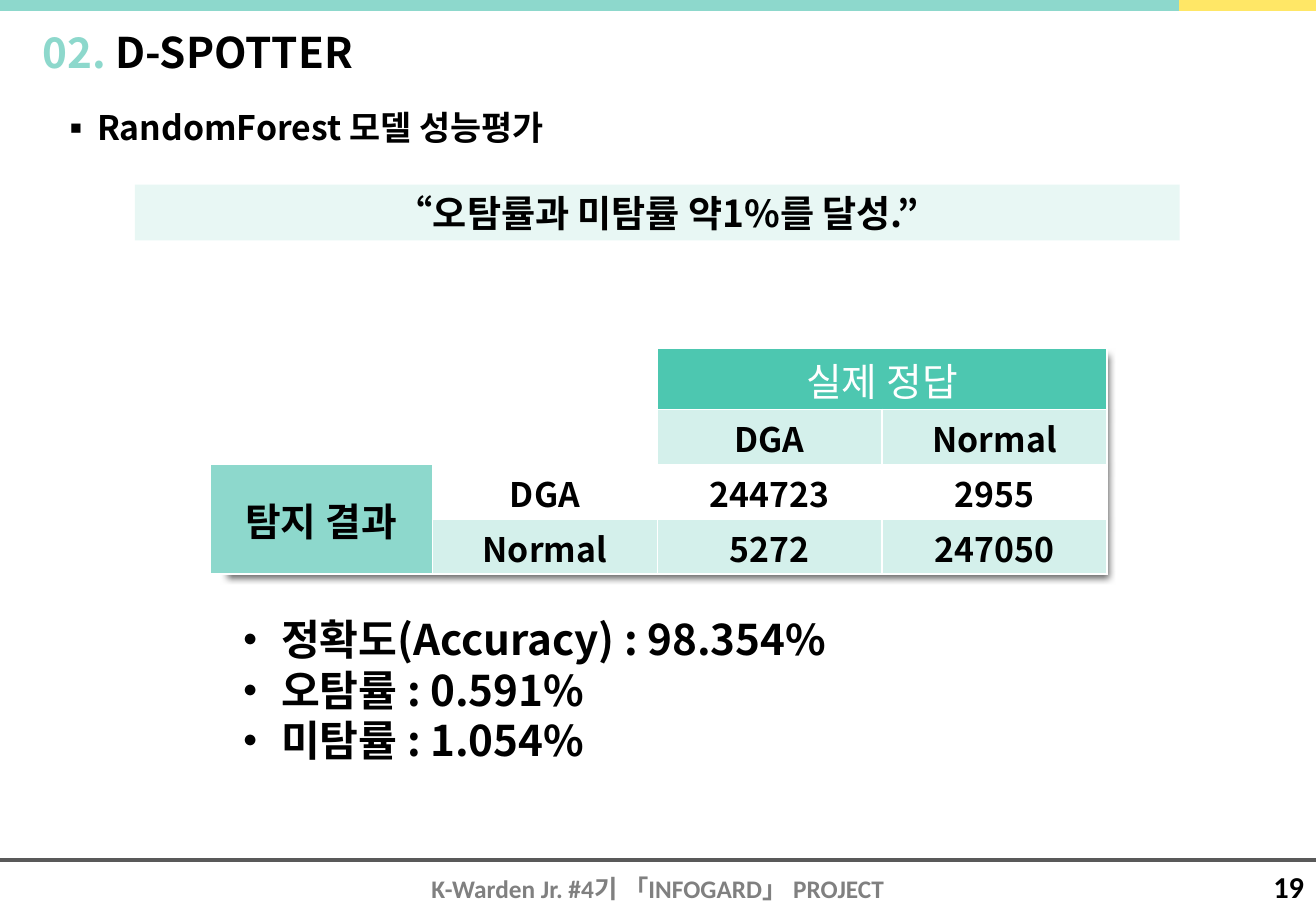
from lxml import etree
from pptx import Presentation
from pptx import util as u
from pptx.dml.color import RGBColor
from pptx.enum import shapes, text
from pptx.oxml import parse_xml
from pptx.oxml import ns

Cm, Pt = u.Cm, u.Pt
COLORS = {
    "mint": "8DD8CC", "teal": "4DC7B0", "pale": "D4F0EB", "yellow": "FFE766",
    "rule": "595959", "gray": "808080", "black": "000000", "white": "FFFFFF",
}
SANS, FOOTER_FONT = "Noto Sans CJK KR", "Calibri"
LEFT, CENTER, JUSTIFY = text.PP_ALIGN.LEFT, text.PP_ALIGN.CENTER, text.PP_ALIGN.JUSTIFY
TOP, MIDDLE = text.MSO_ANCHOR.TOP, text.MSO_ANCHOR.MIDDLE
NS = ns.nsdecls("a")


def rgb(name):
    return RGBColor.from_string(COLORS[name])


def set_attrs(obj, values):
    for name, value in values.items():
        setattr(obj, name, value)


def write_runs(p, runs, size, align, font=SANS, bold=True):
    p.alignment = align
    if font == SANS:
        p.line_spacing = Pt(size * 1.2)
    for content, color in runs:
        r = p.add_run()
        r.text = content
        set_attrs(r.font, {"name": font, "size": Pt(size), "bold": bold})
        r.font.color.rgb = rgb(color)
        if font == SANS:
            ea = etree.SubElement(r.font._element, ns.qn("a:ea"))
            ea.set("typeface", font)


def fill_frame(tf, lines, size, align, font=SANS, anchor=TOP):
    set_attrs(tf, {"word_wrap": True, "vertical_anchor": anchor})
    for i, runs in enumerate(lines):
        p = tf.add_paragraph() if i else tf.paragraphs[0]
        write_runs(p, runs, size, align, font)


def add_text(s, box, lines, size, align, font=SANS):
    tf = s.shapes.add_textbox(*map(Cm, box)).text_frame
    fill_frame(tf, lines, size, align, font)
    return tf


def add_bullet(p):
    pPr = p._p.get_or_add_pPr()
    indent = Cm(0.79)
    pPr.set("marL", str(indent))
    pPr.set("indent", str(-indent))
    pPr.append(parse_xml(f'<a:buFont {NS} typeface="{SANS}"/>'))
    pPr.append(parse_xml(f'<a:buChar {NS} char="▪"/>'))


def add_rule(s, x1, x2, y, color, width):
    line = s.shapes.add_connector(
        shapes.MSO_CONNECTOR.STRAIGHT, Cm(x1), Cm(y), Cm(x2), Cm(y))
    line.line.color.rgb = rgb(color)
    line.line.width = Pt(width)
    line._element.spPr.append(parse_xml(f"<a:effectLst {NS}/>"))


def add_banner(s, box, content):
    sp = s.shapes.add_shape(shapes.MSO_SHAPE.RECTANGLE, *map(Cm, box))
    sp.shadow.inherit = False
    sp.line.fill.background()
    sp.fill.solid()
    sp.fill.fore_color.rgb = rgb("mint")
    color = sp._element.spPr.find(".//" + ns.qn("a:srgbClr"))
    color.append(parse_xml(f'<a:alpha {NS} val="20000"/>'))
    fill_frame(sp.text_frame, [[(content, "black")]], 22, CENTER, anchor=MIDDLE)


def format_cell(cell, content, fill, size, color, bold):
    set_attrs(cell, {
        "margin_left": Cm(0.3), "margin_right": Cm(0.3),
        "margin_top": Cm(0.25), "margin_bottom": Cm(0.02),
        "vertical_anchor": MIDDLE,
    })
    tcPr = cell._tc.get_or_add_tcPr()
    for side in ("lnL", "lnR", "lnT", "lnB"):
        tcPr.append(parse_xml(
            f'<a:{side} {NS} w="12700"><a:solidFill><a:srgbClr val="{COLORS["white"]}"/>'
            f"</a:solidFill></a:{side}>"))
    cell.fill.solid()
    cell.fill.fore_color.rgb = rgb(fill)
    if content:
        write_runs(cell.text_frame.paragraphs[0], [(content, color)], size, CENTER, bold=bold)


def add_confusion_matrix(s):
    rows = [
        ["", "", "실제 정답", ""],
        ["", "", "DGA", "Normal"],
        ["탐지 결과", "DGA", "244723", "2955"],
        ["", "Normal", "5272", "247050"],
    ]
    widths, heights = [4.65, 4.7, 4.7, 4.7], [1.27, 1.15, 1.15, 1.15]
    table = s.shapes.add_table(
        4, 4, Cm(4.39), Cm(7.29), Cm(sum(widths)), Cm(sum(heights))).table
    set_attrs(table, {"first_row": False, "horz_banding": False})
    for column, width in zip(table.columns, widths):
        column.width = Cm(width)
    for row, height in zip(table.rows, heights):
        row.height = Cm(height)
    table.cell(0, 2).merge(table.cell(0, 3))
    table.cell(2, 0).merge(table.cell(3, 0))
    for i, row in enumerate(rows):
        for j, content in enumerate(row):
            fill, size, color, bold = "white", 20, "black", True
            if i == 0 and j > 1:
                fill, size, color, bold = "teal", 23, "white", False
            elif i > 1 and j == 0:
                fill, size = "mint", 23
            elif (i == 1 and j > 1) or (i == 3 and j > 0):
                fill = "pale"
            format_cell(table.cell(i, j), content, fill, size, color, bold)
    table._tbl.tblPr.insert(0, parse_xml(
        f'<a:effectLst {NS}><a:outerShdw blurRad="50800" dist="50800" dir="5400000" '
        'sx="98000" sy="98000" algn="tr" rotWithShape="0"><a:srgbClr val="000000">'
        '<a:alpha val="60000"/></a:srgbClr></a:outerShdw></a:effectLst>'))


def main():
    prs = Presentation()
    set_attrs(prs, {"slide_width": Cm(27.51), "slide_height": Cm(19.05)})
    s = prs.slides.add_slide(prs.slide_layouts[6])

    add_text(s, (8.2, 18.14, 11.1, 0.91),
             [[("K-Warden Jr. #4기 「INFOGARD」 PROJECT", "gray")]], 15, CENTER, FOOTER_FONT)
    add_text(s, (26.24, 18.03, 1.4, 1.02), [[("19", "black")]], 18, CENTER, FOOTER_FONT)
    add_rule(s, 0, 27.51, 17.98, "rule", 2)
    add_rule(s, 0, 27.51, 0.1, "mint", 7)
    add_rule(s, 24.64, 27.51, 0.1, "yellow", 7)

    add_text(s, (0.64, 0.43, 22.02, 1.47),
             [[("02. ", "mint"), ("D-SPOTTER", "black")]], 25, JUSTIFY)
    add_confusion_matrix(s)
    results = ["• 정확도(Accuracy) : 98.354%", "• 오탐률 : 0.591%", "• 미탐률 : 1.054%"]
    add_text(s, (4.55, 12.7, 18.44, 3.43),
             [[(result, "black")] for result in results], 25, LEFT)
    heading = add_text(s, (0.99, 2.11, 17.15, 1.27),
                       [[("RandomForest 모델 성능평가", "black")]], 20, JUSTIFY)
    add_bullet(heading.paragraphs[0])
    add_banner(s, (2.82, 3.86, 21.84, 1.17), "“오탐률과 미탐률 약1%를 달성.”")
    prs.save("out.pptx")


if __name__ == "__main__":
    main()
